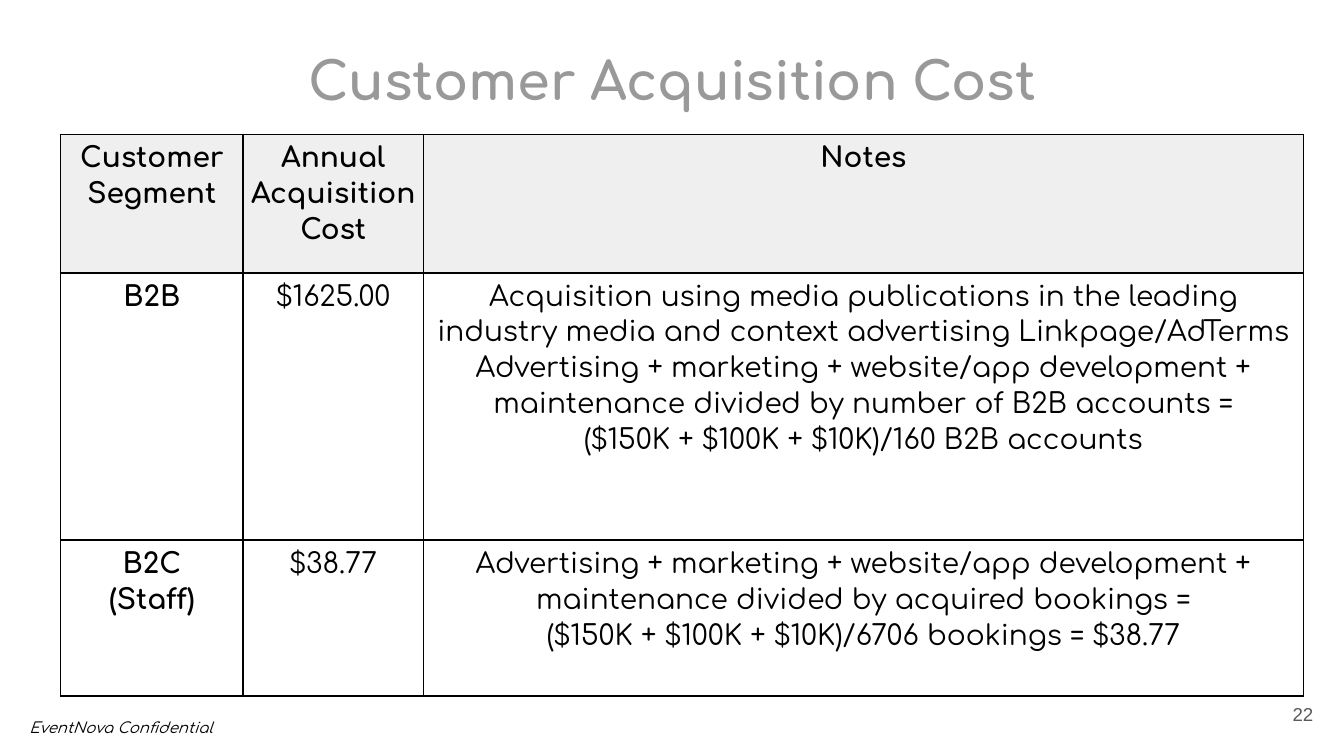
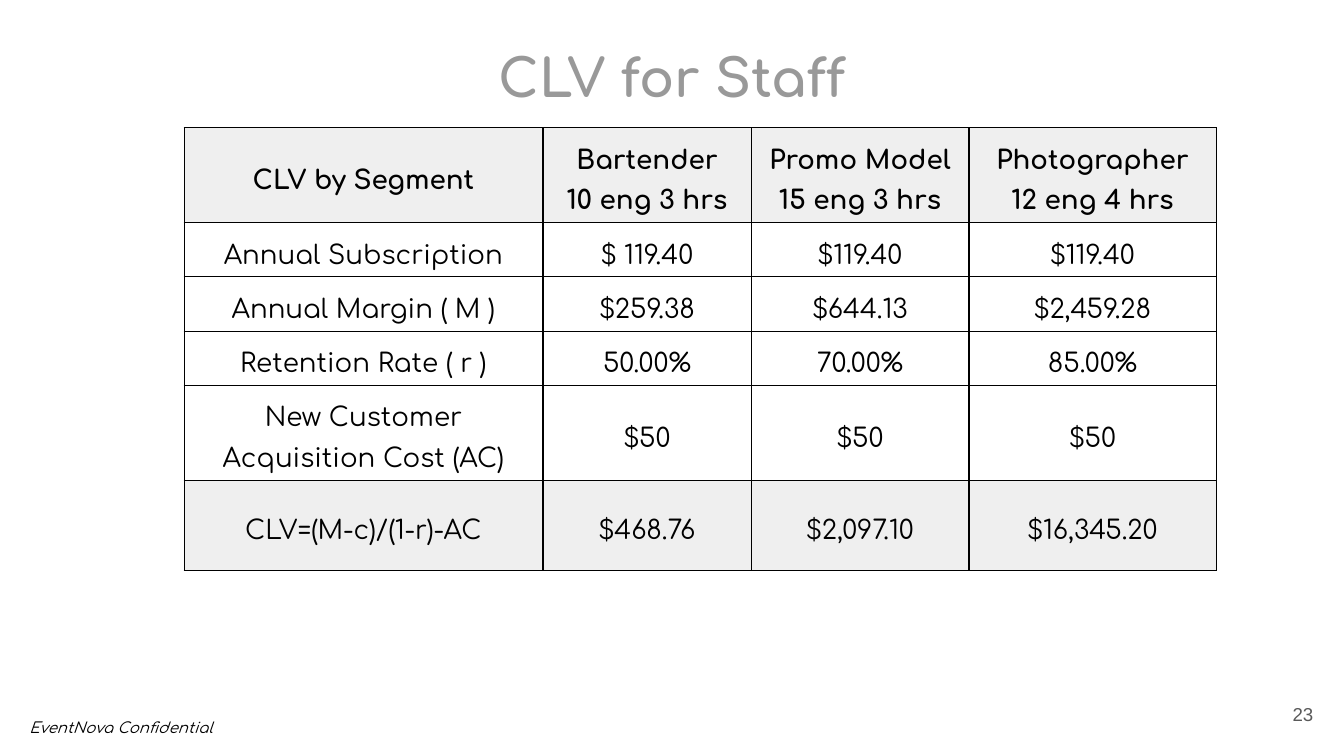
from pptx import Presentation
from pptx.dml.color import RGBColor
from pptx.enum.text import MSO_ANCHOR, MSO_AUTO_SIZE, PP_ALIGN
from pptx.oxml.ns import qn
from pptx.util import Inches, Pt
from lxml import etree

BLACK = RGBColor(0x00, 0x00, 0x00)
WHITE = RGBColor(0xFF, 0xFF, 0xFF)
TITLE_GREY = RGBColor(0x99, 0x99, 0x99)
NUMBER_GREY = RGBColor(0x59, 0x59, 0x59)
BAND_GREY = RGBColor(0xEF, 0xEF, 0xEF)

HEAD_FONT, NUMBER_FONT = "Comfortaa", "Arial"
LEFT, CENTER, RIGHT = PP_ALIGN.LEFT, PP_ALIGN.CENTER, PP_ALIGN.RIGHT
TOP, MIDDLE = MSO_ANCHOR.TOP, MSO_ANCHOR.MIDDLE
NO_AUTOFIT = MSO_AUTO_SIZE.NONE
TITLE_ONLY = 5


class Deck:
    """Holds the shared style and the slide being built."""

    def __init__(self):
        self.prs = Presentation()
        self.prs.slide_width = Inches(10)
        self.prs.slide_height = Inches(10) * 9 // 16
        self.slide = None

    def new_slide(self, title, number, title_top):
        layout = self.prs.slide_layouts[TITLE_ONLY]
        self.slide = self.prs.slides.add_slide(layout)
        self.title(title, title_top)
        self.text("EventNova Confidential", 0.12, 5.25, 1.7, 0.25, 8,
                  BLACK, italic=True)
        self.text(str(number), 9.27, 5.1, 0.6, 0.43, 10, NUMBER_GREY,
                  font=NUMBER_FONT, align=RIGHT, anchor=MIDDLE)

    def style(self, p, size, color, font=HEAD_FONT, bold=False, italic=False,
              align=LEFT):
        p.alignment = align
        p.font.name, p.font.size = font, Pt(size)
        p.font.bold, p.font.italic = bold, italic
        p.font.color.rgb = color

    def frame(self, sp, text, anchor):
        tf = sp.text_frame
        tf.word_wrap = True
        tf.auto_size = NO_AUTOFIT
        tf.vertical_anchor = anchor
        tf.margin_left = tf.margin_right = Inches(0.1)
        tf.margin_top = tf.margin_bottom = Inches(0.1)
        tf.text = text
        return tf.paragraphs[0]

    def title(self, text, top):
        sp = self.slide.shapes.title
        sp.left, sp.top = Inches(0), Inches(top)
        sp.width, sp.height = Inches(10), Inches(0.75)
        p = self.frame(sp, text, TOP)
        self.style(p, 28, TITLE_GREY, bold=True, align=CENTER)

    def text(self, text, x, y, w, h, size, color, anchor=TOP, **look):
        sp = self.slide.shapes.add_textbox(Inches(x), Inches(y),
                                           Inches(w), Inches(h))
        self.style(self.frame(sp, text, anchor), size, color, **look)

    def border(self, cell, width):
        tc_pr = cell._tc.get_or_add_tcPr()
        for side in ("a:lnL", "a:lnR", "a:lnT", "a:lnB"):
            ln = etree.SubElement(tc_pr, qn(side), w=str(Pt(width)))
            fill = etree.SubElement(ln, qn("a:solidFill"))
            etree.SubElement(fill, qn("a:srgbClr"), val=str(BLACK))

    def table(self, x, y, widths, heights, rows, size, spacing, margins,
              anchor, line, bold_cols=(), band_rows=(0,)):
        frame = self.slide.shapes.add_table(
            len(heights), len(widths), Inches(x), Inches(y),
            Inches(sum(widths)), Inches(sum(heights)))
        table = frame.table
        table.first_row = table.horz_banding = False
        for column, width in zip(table.columns, widths):
            column.width = Inches(width)
        for row, height in zip(table.rows, heights):
            row.height = Inches(height)

        side, edge = margins
        for r, row in enumerate(table.rows):
            for c, cell in enumerate(row.cells):
                self.border(cell, line)
                cell.fill.solid()
                cell.fill.fore_color.rgb = BAND_GREY if r in band_rows else WHITE
                cell.margin_left = cell.margin_right = Inches(side)
                cell.margin_top = cell.margin_bottom = Inches(edge)
                cell.vertical_anchor = anchor
                if c >= len(rows[r]):
                    continue
                cell.text = rows[r][c]
                for p in cell.text_frame.paragraphs:
                    self.style(p, size, BLACK, align=CENTER,
                               bold=r == 0 or c in bold_cols)
                    p.line_spacing = spacing
            # A short row lets its last cell run to the right edge
            last = len(rows[r]) - 1
            if last < len(widths) - 1:
                table.cell(r, last).merge(table.cell(r, len(widths) - 1))


def main():
    deck = Deck()

    # Customer acquisition cost
    deck.new_slide("Customer Acquisition Cost", 22, 0.26)
    costs = [
        ["Customer Segment", "Annual Acquisition\nCost", "Notes"],
        ["B2B", "$1625.00",
         "Acquisition using media publications in the leading industry media "
         "and context advertising Linkpage/AdTerms\n"
         "Advertising + marketing + website/app development + maintenance "
         "divided by number of B2B accounts =\n"
         "($150K + $100K + $10K)/160 B2B accounts"],
        ["B2C\n(Staff)", "$38.77",
         "Advertising + marketing + website/app development + maintenance "
         "divided by acquired bookings =\n"
         "($150K + $100K + $10K)/6706 bookings = $38.77"],
    ]
    deck.table(0.45, 1.0, [1.36, 1.34, 2.25, 4.3], [1.03, 1.99, 1.16], costs,
               size=15, spacing=1.15, margins=(0.03, 0.03), anchor=TOP,
               line=1, bold_cols=(0,))

    # Customer lifetime value by staff segment
    deck.new_slide("CLV for Staff", 23, 0.24)
    values = [
        ["CLV by Segment", "Bartender\n10 eng 3 hrs",
         "Promo Model\n15 eng 3 hrs", "Photographer\n12 eng 4 hrs"],
        ["Annual Subscription", "$ 119.40", "$119.40", "$119.40"],
        ["Annual Margin ( M )", "$259.38", "$644.13", "$2,459.28"],
        ["Retention Rate ( r )", "50.00%", "70.00%", "85.00%"],
        ["New Customer Acquisition Cost (AC)", "$50", "$50", "$50"],
        ["CLV=(M-c)/(1-r)-AC", "$468.76", "$2,097.10", "$16,345.20"],
    ]
    deck.table(1.37, 0.95, [2.67, 1.55, 1.62, 1.84],
               [0.6, 0.37, 0.32, 0.38, 0.4, 0.67], values,
               size=14, spacing=1.4, margins=(0.01, 0.05), anchor=MIDDLE,
               line=0.75, band_rows=(0, 5))

    deck.prs.save("out.pptx")


if __name__ == "__main__":
    main()
